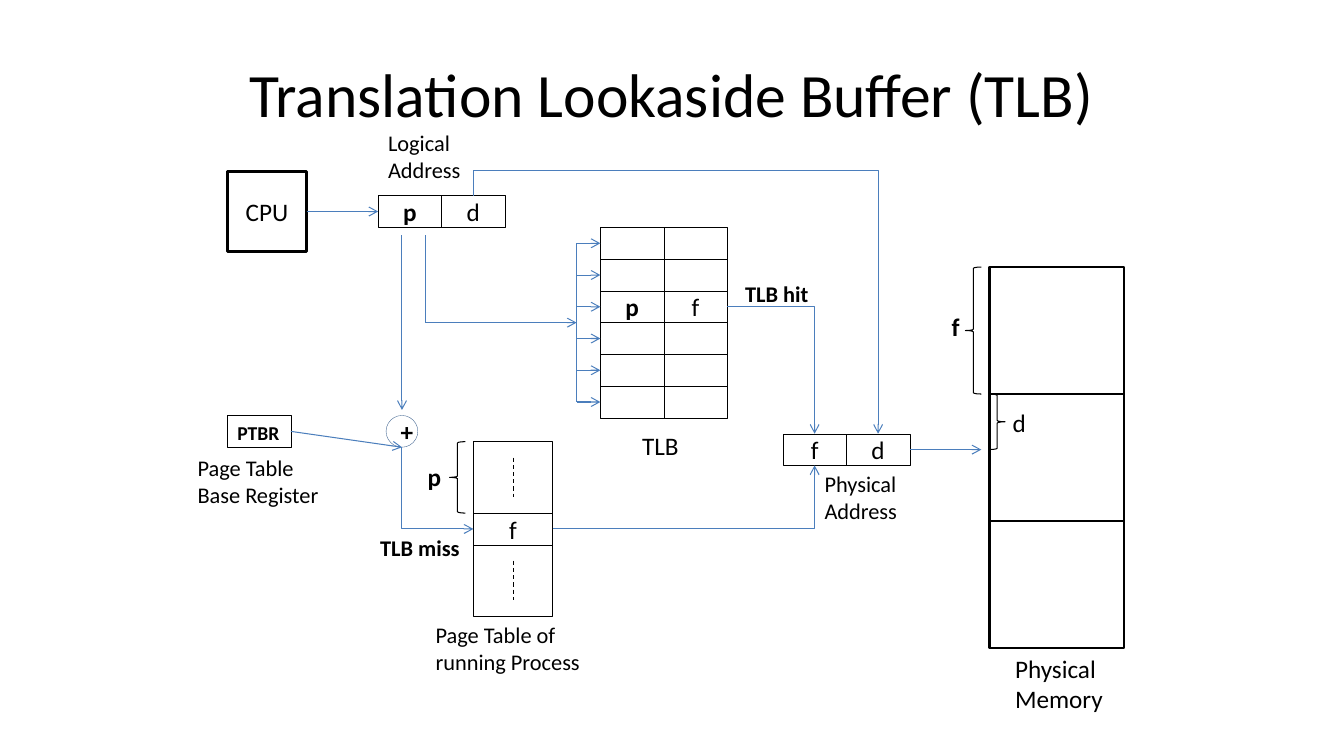
from lxml import etree
from pptx import Presentation
from pptx.dml.color import RGBColor
from pptx.enum.dml import MSO_LINE
from pptx.enum.shapes import MSO_CONNECTOR, MSO_SHAPE
from pptx.enum.text import MSO_ANCHOR, MSO_AUTO_SIZE, PP_ALIGN
from pptx.oxml.ns import qn
from pptx.util import Cm, Pt

FONT = "Calibri"
BLACK = "000000"
BLUE = "4B7EBC"
CELL_W, CELL_H = 1.6, 0.8

deck = Presentation()
deck.slide_width, deck.slide_height = Cm(33.87), Cm(19.05)
slide = deck.slides.add_slide(deck.slide_layouts[5])
shapes = slide.shapes


def box(x, y, w, h, text="", bold=False, kind=MSO_SHAPE.RECTANGLE, weight=0.25, color=BLACK):
    """Add an unfilled outlined shape, measured in cm, with centred text."""
    shape = shapes.add_shape(kind, Cm(x), Cm(y), Cm(w), Cm(h))
    shape.shadow.inherit = False
    shape.fill.background()
    shape.line.color.rgb = RGBColor.from_string(color)
    shape.line.width = Pt(weight)
    if text:
        shape.text_frame.text = text
        shape.text_frame.vertical_anchor = MSO_ANCHOR.MIDDLE
        paragraph = shape.text_frame.paragraphs[0]
        paragraph.alignment = PP_ALIGN.CENTER
        paragraph.font.name = FONT
        paragraph.font.size = Pt(18)
        paragraph.font.bold = bold
        paragraph.font.color.rgb = RGBColor.from_string(BLACK)
    return shape


def connect(x1, y1, x2, y2, bend=None, down_first=False, arrow=True, color=BLUE):
    """Add a line in cm; down_first lays an elbow out on its side and turns it by 270 degrees."""
    if down_first:
        mid_x, mid_y = (x1 + x2) / 2, (y1 + y2) / 2
        half_w, half_h = (y2 - y1) / 2, (x2 - x1) / 2
        x1, y1, x2, y2 = mid_x + half_w, mid_y - half_h, mid_x - half_w, mid_y + half_h
    kind = MSO_CONNECTOR.ELBOW if bend else MSO_CONNECTOR.STRAIGHT
    connector = shapes.add_connector(kind, Cm(x1), Cm(y1), Cm(x2), Cm(y2))
    connector.line.color.rgb = RGBColor.from_string(color)
    connector.line.width = Pt(0.75)
    properties = connector._element.spPr
    if bend:
        properties.find(qn("a:prstGeom")).set("prst", bend)
    if down_first:
        properties.find(qn("a:xfrm")).set("rot", "16200000")
    if arrow:
        etree.SubElement(properties.find(qn("a:ln")), qn("a:tailEnd"), type="arrow")
    etree.SubElement(properties, qn("a:effectLst"))
    return connector


title = shapes.title
title.left, title.top, title.width, title.height = Cm(1.69), Cm(0.76), Cm(30.48), Cm(3.18)
title.text_frame.text = "Translation Lookaside Buffer (TLB)"
title.text_frame.vertical_anchor = MSO_ANCHOR.MIDDLE
heading = title.text_frame.paragraphs[0]
heading.alignment = PP_ALIGN.CENTER
heading.font.name = FONT
heading.font.size = Pt(44)
heading.font.color.rgb = RGBColor.from_string(BLACK)

# CPU, registers and addresses
cpu = box(5.73, 4.33, 2, 2, "CPU", weight=2)
logical_page = box(9.53, 4.93, CELL_W, CELL_H, "p", True)
box(11.13, 4.93, CELL_W, CELL_H, "d")
box(19.73, 10.93, CELL_W, CELL_H, "f")
physical_offset = box(21.33, 10.93, CELL_W, CELL_H, "d")
base_register = box(5.73, 10.47, CELL_W, CELL_H)
adder = box(9.73, 10.47, 0.8, 0.8, "+", True, MSO_SHAPE.OVAL, color="3A5F8C")

# TLB entries, each reached by its own arrow
for row in range(6):
    hit = row == 2
    top = 5.73 + row * CELL_H
    entry = box(15.13, top, CELL_W, CELL_H, "p" if hit else "", True)
    box(15.13 + CELL_W, top, CELL_W, CELL_H, "f" if hit else "")
    probe = connect(14.53, top + CELL_H / 2, 15.13, top + CELL_H / 2)
    probe.end_connect(entry, 1)

# Page table
box(11.93, 12.93, 2, CELL_H, "f")
for top in (11.13, 13.73):
    box(11.93, top, 2, 1.8)
    omitted_rows = connect(12.93, top + 0.4, 12.93, top + 1.4, arrow=False, color=BLACK)
    omitted_rows.line.dash_style = MSO_LINE.DASH

# Physical memory
for frame in range(3):
    box(24.93, 6.73 + frame * 3.2, 3.4, 3.2, weight=2)

for kind, x, y, height in (
    (MSO_SHAPE.LEFT_BRACE, 11.33, 11.13, 1.8),
    (MSO_SHAPE.LEFT_BRACE, 24.33, 6.73, 3.2),
    (MSO_SHAPE.RIGHT_BRACE, 24.93, 9.93, 1.4),
):
    box(x, y, 0.4, height, kind=kind, weight=0.75)

# Address flow
to_logical = connect(7.73, 5.33, 9.53, 5.33)
to_logical.begin_connect(cpu, 3)
to_logical.end_connect(logical_page, 1)
to_adder = connect(7.33, 10.87, 9.73, 10.87)
to_adder.begin_connect(base_register, 3)
to_adder.end_connect(adder, 2)
to_memory = connect(22.93, 11.33, 24.73, 11.33)
to_memory.begin_connect(physical_offset, 3)
connect(10.13, 5.93, 10.13, 10.33)
connect(10.73, 5.93, 10.73, 8.13, arrow=False)
connect(10.73, 8.13, 14.53, 8.13)
connect(14.53, 6.13, 14.53, 10.13, arrow=False)
connect(10.13, 11.27, 11.93, 13.33, "bentConnector2", down_first=True)
connect(18.33, 7.73, 20.53, 10.93, "bentConnector2")
connect(13.93, 13.33, 20.53, 11.73, "bentConnector2")
offset_path = connect(11.93, 4.93, 22.13, 10.93, "bentConnector3", down_first=True)
guides = offset_path._element.spPr.find(qn("a:prstGeom")).get_or_add_avLst()
etree.SubElement(guides, qn("a:gd"), name="adj1", fmla="val -10600")

# Labels: text, left, top, width, height, size, bold, wrap
for text, x, y, w, h, size, bold, wrap in (
    ("Logical\nAddress", 9.53, 3.13, 2.36, 1.62, 16, False, False),
    ("Physical\nAddress", 20.53, 11.73, 2.36, 1.62, 16, False, False),
    ("Page Table of running Process", 10.73, 15.53, 5, 1.62, 16, False, True),
    ("Page Table Base Register", 4.73, 11.33, 4, 1.62, 16, False, True),
    ("Physical\nMemory", 25.33, 16.33, 2.75, 1.8, 18, False, False),
    ("PTBR", 5.73, 10.47, 1.58, 0.85, 14, True, False),
    ("TLB hit", 18.53, 6.93, 2.14, 0.94, 16, True, False),
    ("TLB miss", 9.33, 13.33, 2.53, 0.94, 16, True, False),
    ("TLB", 15.93, 10.73, 1.45, 1.03, 18, False, False),
    ("p", 10.53, 11.51, 0.86, 1.03, 18, True, False),
    ("f", 23.73, 7.73, 0.72, 1.03, 18, True, False),
    ("d", 25.27, 10.13, 0.86, 1.03, 18, False, False),
):
    label = shapes.add_textbox(Cm(x), Cm(y), Cm(w), Cm(h)).text_frame
    label.text = text
    label.word_wrap = wrap
    label.auto_size = MSO_AUTO_SIZE.SHAPE_TO_FIT_TEXT
    for line in label.paragraphs:
        line.font.name = FONT
        line.font.size = Pt(size)
        line.font.bold = bold
        line.font.color.rgb = RGBColor.from_string(BLACK)

deck.save("out.pptx")
